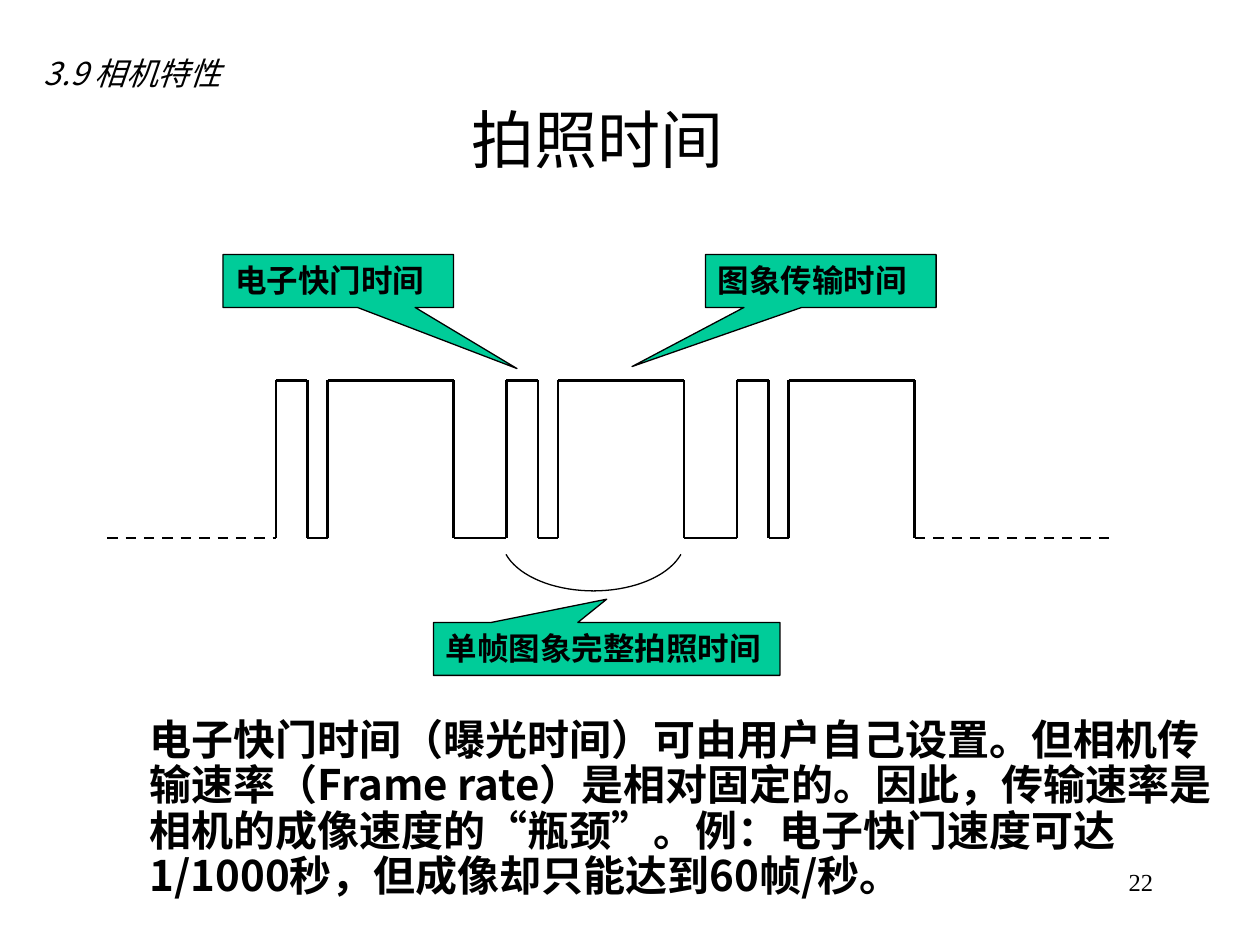
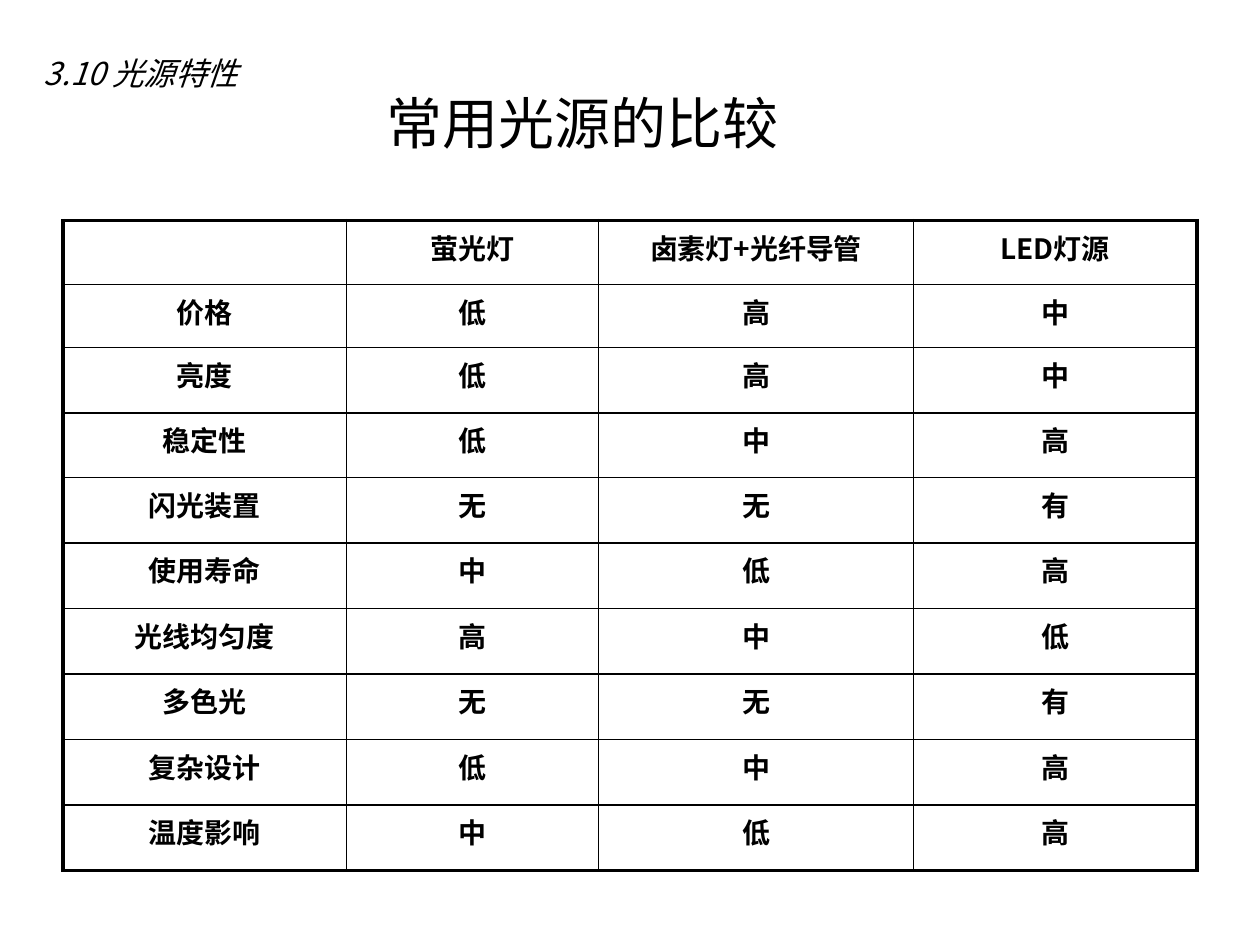
"""Build two slides on camera exposure timing and light source comparison."""
from dataclasses import dataclass
from itertools import pairwise
from math import cos, radians, sin

from lxml import etree
from pptx import Presentation
from pptx.dml.color import RGBColor
from pptx.enum.dml import MSO_LINE
from pptx.enum.shapes import MSO_CONNECTOR, MSO_SHAPE
from pptx.enum.text import MSO_ANCHOR, MSO_AUTO_SIZE, PP_ALIGN
from pptx.oxml.ns import qn
from pptx.util import Inches, Pt

STRAIGHT = MSO_CONNECTOR.STRAIGHT
CALLOUT = MSO_SHAPE.RECTANGULAR_CALLOUT
DASH = MSO_LINE.DASH
TOP, MIDDLE = MSO_ANCHOR.TOP, MSO_ANCHOR.MIDDLE
LEFT, CENTER, RIGHT = PP_ALIGN.LEFT, PP_ALIGN.CENTER, PP_ALIGN.RIGHT
GROW = MSO_AUTO_SIZE.SHAPE_TO_FIT_TEXT


@dataclass(frozen=True)
class Theme:
    ink: RGBColor = RGBColor(0x00, 0x00, 0x00)
    paper: RGBColor = RGBColor(0xFF, 0xFF, 0xFF)
    callout: RGBColor = RGBColor(0x00, 0xCC, 0x99)
    serif: str = "Times New Roman"
    chinese: str = "Noto Sans CJK SC"
    quote: str = "Arial"
    title: int = 36
    table_title: int = 32
    body: int = 24
    label: int = 18
    cell: int = 16
    page_number: int = 14
    signal_line: float = 1.5
    thin_line: float = 0.75
    inner_border: float = 1
    outer_border: float = 2.25


theme = Theme()


def format_paragraph(paragraph, size, font=theme.chinese, bold=False, italic=False, alignment=LEFT):
    paragraph.alignment = alignment
    for run in paragraph.runs:
        run.font.size = Pt(size)
        run.font.bold = bold
        run.font.italic = italic
        run.font.color.rgb = theme.ink
        run.font.name = font
        east_asian = etree.SubElement(run.font._element, qn("a:ea"))
        east_asian.set("typeface", theme.chinese)


def add_text_box(slide, box, text, size, anchor=TOP, **style):
    text_frame = slide.shapes.add_textbox(*map(Inches, box)).text_frame
    text_frame.word_wrap = True
    text_frame.vertical_anchor = anchor
    text_frame.text = text
    format_paragraph(text_frame.paragraphs[0], size, **style)
    return text_frame


presentation = Presentation()
presentation.slide_width, presentation.slide_height = Inches(10), Inches(7.5)
slides = []
for section in ("3.9 相机特性", "3.10 光源特性"):
    slide = presentation.slides.add_slide(presentation.slide_layouts[6])
    slide.background.fill.solid()
    slide.background.fill.fore_color.rgb = theme.paper
    add_text_box(slide, (0.25, 0.33, 2.94, 0.5), section, theme.label, MIDDLE, italic=True)
    slides.append(slide)
timing_slide, comparison_slide = slides

add_text_box(timing_slide, (1.61, 0.81, 6.26, 0.57), "拍照时间", theme.title, MIDDLE,
             font=theme.serif, alignment=CENTER)
add_text_box(timing_slide, (7.17, 6.83, 2.08, 0.5), "22", theme.page_number,
             font=theme.serif, alignment=RIGHT)

low, high = 4.27, 3.02
first_rise, period, frame_count = 2.19, 1.83, 3
shutter_end, transfer_start, transfer_end = 0.25, 0.41, 1.41
signal_points = [(0.85, low)]
for frame in range(frame_count):
    rise = first_rise + frame * period
    signal_points += [
        (rise, low), (rise, high),
        (rise + shutter_end, high), (rise + shutter_end, low),
        (rise + transfer_start, low), (rise + transfer_start, high),
        (rise + transfer_end, high), (rise + transfer_end, low),
    ]
signal_points.append((8.85, low))

diagram = timing_slide.shapes.add_group_shape().shapes
segments = list(pairwise(signal_points))
for index, (start, end) in enumerate(segments):
    connector = diagram.add_connector(STRAIGHT, *map(Inches, start + end))
    connector.line.color.rgb = theme.ink
    connector.line.width = Pt(theme.signal_line)
    if index in (0, len(segments) - 1):
        connector.line.dash_style = DASH
    etree.SubElement(connector._element.spPr, qn("a:effectLst"))

callouts = [
    ((1.77, 2.02, 1.83, 0.42), (0.775, 1.654), "电子快门时间"),
    ((5.6, 2.02, 1.83, 0.42), (-0.819, 1.617), "图象传输时间"),
    ((3.44, 4.94, 2.75, 0.42), (0, -0.94), "单帧图象完整拍照时间"),
]
for box, pointer, text in callouts:
    callout = diagram.add_shape(CALLOUT, *map(Inches, box))
    callout.adjustments[0], callout.adjustments[1] = pointer
    callout.shadow.inherit = False
    callout.fill.solid()
    callout.fill.fore_color.rgb = theme.callout
    callout.line.color.rgb = theme.ink
    callout.line.width = Pt(theme.thin_line)
    callout.text_frame.vertical_anchor = TOP
    callout.text_frame.text = text
    format_paragraph(callout.text_frame.paragraphs[0], theme.label, theme.serif, bold=True)

arc_points = [
    (Inches(4.71 + 0.73 * cos(radians(angle))), Inches(low + 0.42 * sin(radians(angle))))
    for angle in range(18, 163, 4)
]
arc_builder = diagram.build_freeform(*arc_points[0])
arc_builder.add_line_segments(arc_points[1:], close=False)
frame_arc = arc_builder.convert_to_shape()
frame_arc.shadow.inherit = False
frame_arc.fill.background()
frame_arc.line.color.rgb = theme.ink
frame_arc.line.width = Pt(theme.thin_line)

explanation = add_text_box(timing_slide, (0.59, 5.66, 9.13, 1.56), "", theme.body)
explanation.auto_size = GROW
paragraph = explanation.paragraphs[0]
paragraph.level = 1
paragraph.line_spacing = 0.9
paragraph._p.get_or_add_pPr().set("marL", str(Inches(0.5)))
paragraph._p.get_or_add_pPr().set("indent", "0")
for text in (
    "电子快门时间（曝光时间）可由用户自己设置。但相机传输速率（Frame rate）是相对固定的。"
    "因此，传输速率是相机的成像速度的",
    "“", "瓶颈", "”",
    "。例：电子快门速度可达1/1000秒，但成像却只能达到60帧/秒。",
):
    paragraph.add_run().text = text
format_paragraph(paragraph, theme.body, bold=True)
for run in paragraph.runs:
    if run.text in "“”":
        run.font.name = theme.quote

add_text_box(comparison_slide, (1.94, 0.65, 5.37, 0.99), "常用光源的比较", theme.table_title,
             font=theme.serif, alignment=CENTER)
comparison = [
    ("", "萤光灯", "卤素灯+光纤导管", "LED灯源"),
    ("价格", "低", "高", "中"),
    ("亮度", "低", "高", "中"),
    ("稳定性", "低", "中", "高"),
    ("闪光装置", "无", "无", "有"),
    ("使用寿命", "中", "低", "高"),
    ("光线均匀度", "高", "中", "低"),
    ("多色光", "无", "无", "有"),
    ("复杂设计", "低", "中", "高"),
    ("温度影响", "中", "低", "高"),
]
column_widths = (2.25, 2, 2.5, 2.25)
row_heights = [0.51, 0.5, 0.52, 0.51] + [0.52] * 6
last_row, last_column = len(comparison) - 1, len(column_widths) - 1
table = comparison_slide.shapes.add_table(
    len(comparison), len(column_widths), *map(Inches, (0.5, 1.75, 9, 5.17))
).table
table.first_row = table.horz_banding = False
for column, width in zip(table.columns, column_widths):
    column.width = Inches(width)
for row, height in zip(table.rows, row_heights):
    row.height = Inches(height)
for row_index, values in enumerate(comparison):
    for column_index, value in enumerate(values):
        cell = table.cell(row_index, column_index)
        if value:
            cell.text_frame.text = value
            format_paragraph(cell.text_frame.paragraphs[0], theme.cell, bold=True, alignment=CENTER)
        outer_edges = {
            "a:lnL": column_index == 0,
            "a:lnR": column_index == last_column,
            "a:lnT": row_index == 0,
            "a:lnB": row_index == last_row,
        }
        properties = cell._tc.get_or_add_tcPr()
        for edge, is_outer in outer_edges.items():
            border = etree.SubElement(properties, qn(edge))
            border.set("w", str(Pt(theme.outer_border if is_outer else theme.inner_border)))
            border_fill = etree.SubElement(border, qn("a:solidFill"))
            etree.SubElement(border_fill, qn("a:srgbClr")).set("val", str(theme.ink))
        cell.fill.background()

presentation.save("out.pptx")
